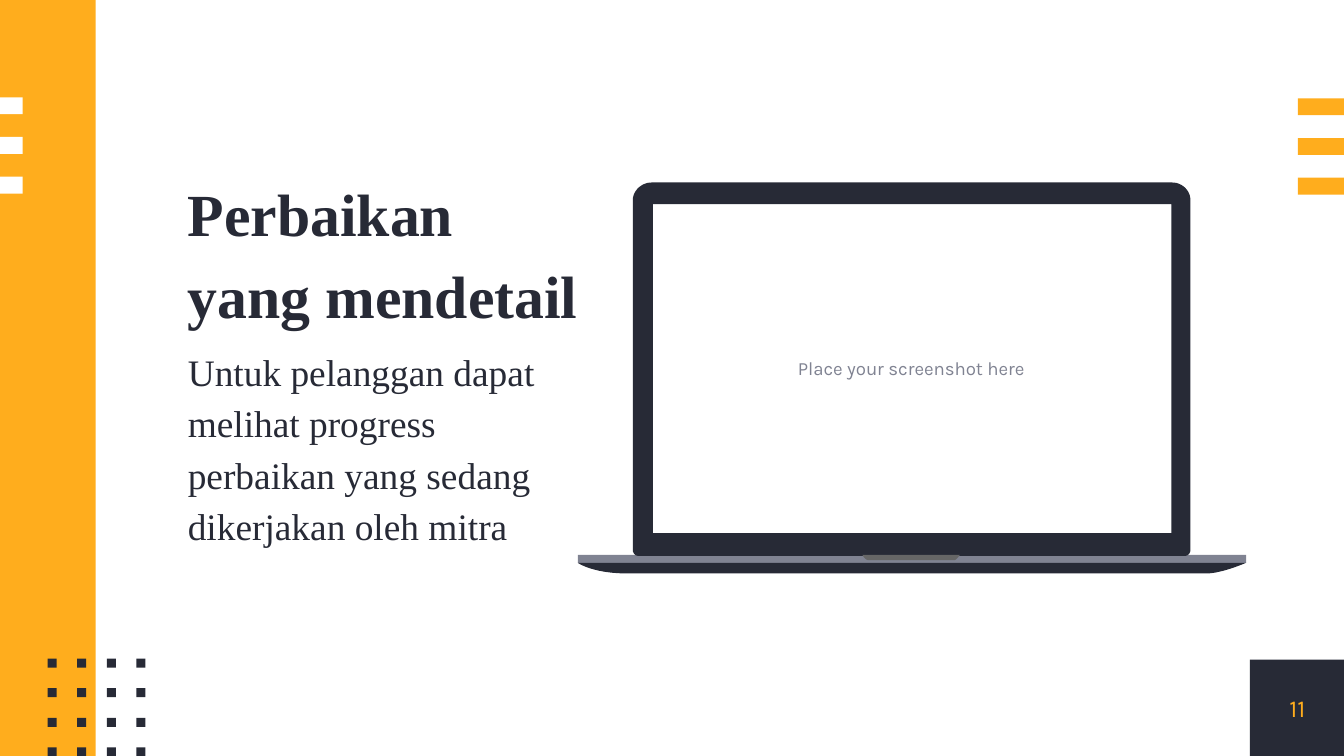
from pptx import Presentation
from pptx.dml.color import RGBColor as Rgb
from pptx.enum.shapes import MSO_SHAPE as Form
from pptx.enum.text import MSO_ANCHOR as Anchor, PP_ALIGN as Align
from pptx.util import Cm, Pt

INK = {"dark": "272A36", "gold": "FFAD1D", "white": "FFFFFF",
       "gray": "808392", "notch": "666666"}

deck = Presentation()
deck.slide_width, deck.slide_height = Cm(25.4), Cm(14.29)
slide = deck.slides.add_slide(deck.slide_layouts[6])
shapes = slide.shapes


def paint(shape, ink):
    """Give a shape a flat fill without line or shadow."""
    shape.shadow.inherit = False
    shape.fill.solid()
    shape.fill.fore_color.rgb = Rgb.from_string(INK[ink])
    shape.line.fill.background()


def trace(start, *steps):
    """Turn points and cubic curves (six numbers) into a list of points."""
    dots = [start]
    for step in steps:
        if len(step) == 2:
            dots.append(step)
            continue
        ends = [dots[-1], step[:2], step[2:4], step[4:]]
        for i in range(1, 13):
            t = i / 12
            parts = [(1 - t) ** 3, 3 * t * (1 - t) ** 2, 3 * t * t * (1 - t), t ** 3]
            dots.append(tuple(sum(w * e[k] for w, e in zip(parts, ends)) for k in (0, 1)))
    return [(Cm(x), Cm(y)) for x, y in dots]


# Side band, corner, stripes and dots
blocks = [(23.62, 12.47, 1.78, 1.82, "dark"), (0, 0, 1.81, 14.29, "gold")]
for row in range(3):
    blocks.append((0, 1.84 + 0.75 * row, 0.43, 0.32, "white"))
    blocks.append((24.53, 1.86 + 0.75 * row, 0.87, 0.32, "gold"))
for row in range(4):
    for col in range(4):
        blocks.append((0.9 + 0.56 * col, 12.45 + 0.56 * row, 0.17, 0.17, "dark"))
blocks.append((10.92, 10.49, 12.63, 0.15, "gray"))  # laptop deck
for *box, ink in blocks:
    paint(shapes.add_shape(Form.RECTANGLE, *map(Cm, box)), ink)

# Laptop: screen frame with its opening, base and notch
frame = trace((22.15, 3.45), (12.32, 3.45),
              (12.13, 3.45, 11.96, 3.6, 11.96, 3.79), (11.96, 10.39),
              (11.96, 10.46, 12.01, 10.51, 12.07, 10.51), (22.39, 10.51),
              (22.45, 10.51, 22.5, 10.46, 22.5, 10.39), (22.5, 3.79),
              (22.5, 3.6, 22.34, 3.45, 22.15, 3.45))
hole = trace((22.14, 10.08), (12.34, 10.08), (12.34, 3.86), (22.14, 3.86))
base = trace((10.92, 10.64), (10.92, 10.64, 11.2, 10.84, 11.84, 10.84),
             (22.81, 10.84), (23.09, 10.84, 23.55, 10.64, 23.55, 10.64))
notch = trace((16.3, 10.49), (16.3, 10.49, 16.35, 10.59, 16.42, 10.59),
              (18.03, 10.59), (18.08, 10.59, 18.14, 10.49, 18.14, 10.49))
for ink, *rings in [("dark", frame, hole), ("dark", base), ("notch", notch)]:
    path = shapes.build_freeform(*rings[0][0])
    path.add_line_segments(rings[0][1:])
    for ring in rings[1:]:
        path.move_to(*ring[0])
        path.add_line_segments(ring[1:])
    paint(path.convert_to_shape(), ink)

# Texts: box, inset, alignment, then wording, font, size, colour, bold
SERIF = "Times New Roman"
texts = [
    ((12.32, 3.84, 9.8, 6.25), 0.25, Align.CENTER,
     [("Place your screenshot here", "Karla", 10, "gray", False)]),
    ((23.62, 12.47, 1.8, 1.8), 0, Align.CENTER, [("11", "Karla", 13, "gold", False)]),
    ((3.55, 0.64, 7.57, 12.22), 0, Align.LEFT,
     [("Perbaikan yang mendetail", SERIF, 32, "dark", True),
      ("Untuk pelanggan dapat melihat progress perbaikan yang sedang "
       "dikerjakan oleh mitra", SERIF, 20, "dark", False)]),
]
for box, inset, align, lines in texts:
    frame = shapes.add_textbox(*map(Cm, box)).text_frame
    frame.word_wrap = True
    frame.vertical_anchor = Anchor.MIDDLE
    frame.margin_left = frame.margin_right = Cm(inset)
    frame.margin_top = frame.margin_bottom = Cm(inset)
    for i, (words, face, size, ink, bold) in enumerate(lines):
        para = frame.add_paragraph() if i else frame.paragraphs[0]
        para.text = words
        para.alignment = align
        if face == SERIF:
            para.line_spacing = 1.15
        if i:
            para.space_before = Pt(6)
        font = para.font
        font.name, font.size, font.bold = face, Pt(size), bold
        font.color.rgb = Rgb.from_string(INK[ink])

deck.save("out.pptx")
